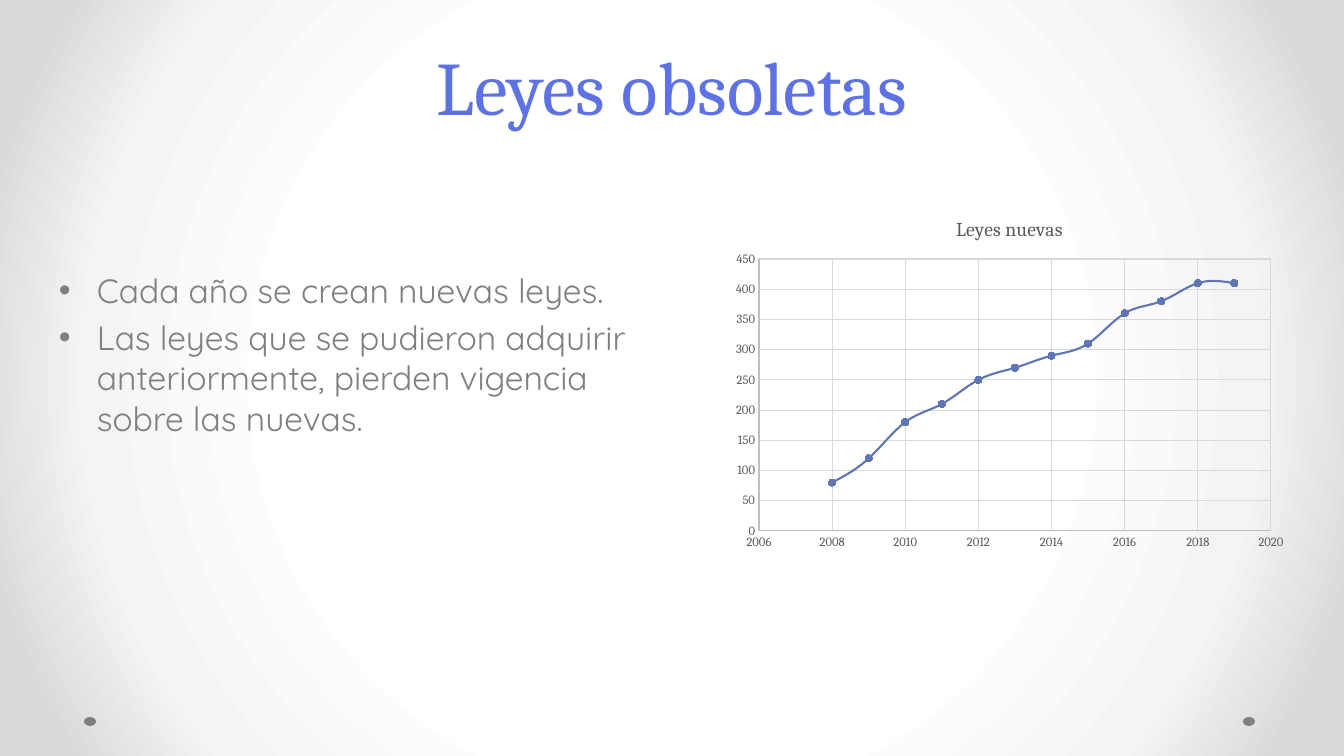
import pptx
import pptx.chart.data
import pptx.dml.color
import pptx.enum.chart
import pptx.enum.shapes
import pptx.enum.text
import pptx.oxml
import pptx.util

EMU_PER_PX = 914400 / 100.8
GREY, DARK_GREY, BLUE = "808080", "595959", "6076B4"
NS_A = 'xmlns:a="http://schemas.openxmlformats.org/drawingml/2006/main"'
NS_C = 'xmlns:c="http://schemas.openxmlformats.org/drawingml/2006/chart"'

BULLETS = [
    "Cada año se crean nuevas leyes.",
    "Las leyes que se pudieron adquirir anteriormente, pierden vigencia sobre las nuevas.",
]
FIRST_YEAR = 2008
NEW_LAWS = [80, 120, 180, 210, 250, 270, 290, 310, 360, 380, 410, 410]
CHART_BOX = (724, 200, 571, 357)
PLOT_BOX = (759, 259, 512, 272)


def px(n):
    return pptx.util.Emu(round(n * EMU_PER_PX))


def rgb(color):
    return pptx.dml.color.RGBColor.from_string(color)


def set_font(font, name, size, color):
    font.name = name
    font.size = pptx.util.Pt(size)
    font.color.rgb = rgb(color)


def set_line(line, color, width):
    line.color.rgb = rgb(color)
    line.width = pptx.util.Pt(width)


def set_background(s):
    """Fill the slide with a radial gradient, white at the centre."""
    fill = s.background.fill
    fill.gradient()
    stops = "".join(
        f'<a:gs pos="{pos}000"><a:srgbClr val="{color}"/></a:gs>'
        for pos, color in [(50, "FFFFFF"), (76, "F4F4F4"), (92, "DADADA")])
    gradient = pptx.oxml.parse_xml(
        f'<a:gradFill {NS_A} rotWithShape="1"><a:gsLst>{stops}</a:gsLst>'
        '<a:path path="circle"><a:fillToRect l="50000" t="50000" r="50000" b="50000"/>'
        '</a:path></a:gradFill>')
    bg_pr = s.background._cSld.bg.bgPr
    bg_pr.replace(bg_pr[0], gradient)


def add_dot(s, x, y):
    dot = s.shapes.add_shape(pptx.enum.shapes.MSO_SHAPE.OVAL, px(x), px(y), px(12), px(9))
    dot.shadow.inherit = False
    dot.fill.solid()
    dot.fill.fore_color.rgb = rgb(GREY)
    dot.line.fill.background()


def add_text_frame(s, x, y, w, h):
    tf = s.shapes.add_textbox(px(x), px(y), px(w), px(h)).text_frame
    tf.word_wrap = True
    return tf


def add_title(s, text):
    tf = add_text_frame(s, 67, 50, 1210, 86)
    tf.vertical_anchor = pptx.enum.text.MSO_ANCHOR.BOTTOM
    p = tf.paragraphs[0]
    p.text = text
    p.alignment = pptx.enum.text.PP_ALIGN.CENTER
    p.line_spacing = pptx.util.Pt(58)
    set_font(p.font, "Cambria", 54, "5E72E4")


def add_bullets(s, items):
    tf = add_text_frame(s, 49, 265, 594, 226)
    tf.text = "\n".join(items)
    for p in tf.paragraphs:
        p.space_before = pptx.util.Pt(4.8)
        set_font(p.font, "Quicksand", 24, GREY)
        p_pr = p._p.get_or_add_pPr()
        p_pr.set("marL", str(px(38)))
        p_pr.set("indent", str(-px(38)))
        bullet_font = pptx.oxml.parse_xml(f'<a:buFont {NS_A} typeface="Arial"/>')
        bullet = pptx.oxml.parse_xml(f'<a:buChar {NS_A} char="•"/>')
        p_pr.find(pptx.oxml.ns.qn("a:defRPr")).addprevious(bullet_font)
        bullet_font.addnext(bullet)


def style_axis(axis, low, high, step):
    axis.minimum_scale, axis.maximum_scale, axis.major_unit = low, high, step
    axis.major_tick_mark = axis.minor_tick_mark = pptx.enum.chart.XL_TICK_MARK.NONE
    axis.has_major_gridlines = True
    set_line(axis.major_gridlines.format.line, "D9D9D9", 0.75)
    set_line(axis.format.line, "BFBFBF", 0.75)
    set_font(axis.tick_labels.font, "Cambria", 9, DARK_GREY)
    axis.tick_labels.number_format = "General"
    axis.tick_labels.number_format_is_linked = False


def place_plot(chart):
    """Fix the inner plot area inside the chart frame."""
    left, top, width, height = CHART_BOX
    x, y, w, h = PLOT_BOX
    parts = {"x": (x - left) / width, "y": (y - top) / height,
             "w": w / width, "h": h / height}
    values = "".join(f'<c:{key}Mode val="edge"/>' for key in "xy")
    values += "".join(f'<c:{key} val="{part:.4f}"/>' for key, part in parts.items())
    layout = pptx.oxml.parse_xml(
        f'<c:layout {NS_C}><c:manualLayout><c:layoutTarget val="inner"/>'
        f'{values}</c:manualLayout></c:layout>')
    plot_area = chart._chartSpace.chart.plotArea
    for old in plot_area.findall(pptx.oxml.ns.qn("c:layout")):
        plot_area.remove(old)
    plot_area.insert(0, layout)


def smooth_series(series):
    """Turn on curve smoothing, which scatter series offer only in XML."""
    ser = series._element
    for old in ser.findall(pptx.oxml.ns.qn("c:smooth")):
        ser.remove(old)
    ser.find(pptx.oxml.ns.qn("c:yVal")).addnext(
        pptx.oxml.parse_xml(f'<c:smooth {NS_C} val="1"/>'))


def add_laws_chart(s):
    data = pptx.chart.data.XyChartData()
    laws = data.add_series("Leyes nuevas")
    for year, count in enumerate(NEW_LAWS, FIRST_YEAR):
        laws.add_data_point(year, count)
    chart = s.shapes.add_chart(
        pptx.enum.chart.XL_CHART_TYPE.XY_SCATTER_SMOOTH,
        *map(px, CHART_BOX), data).chart
    set_font(chart.font, "Cambria", 10, "000000")
    chart.has_legend = False
    chart.has_title = True
    p = chart.chart_title.text_frame.paragraphs[0]
    p.text = "Leyes nuevas"
    set_font(p.font, "Cambria", 14, DARK_GREY)
    p.font.bold = False
    style_axis(chart.category_axis, 2006, 2020, 2)
    style_axis(chart.value_axis, 0, 450, 50)
    place_plot(chart)

    chart.plots[0].vary_by_categories = False
    series = chart.plots[0].series[0]
    smooth_series(series)
    set_line(series.format.line, BLUE, 1.5)
    marker = series.marker
    marker.style = pptx.enum.chart.XL_MARKER_STYLE.CIRCLE
    marker.size = 5
    marker.format.fill.solid()
    marker.format.fill.fore_color.rgb = rgb(BLUE)
    set_line(marker.format.line, BLUE, 0.75)


def main():
    prs = pptx.Presentation()
    prs.slide_width, prs.slide_height = px(1344), px(756)
    s = prs.slides.add_slide(prs.slide_layouts[6])
    set_background(s)
    for x in (1243, 84):
        add_dot(s, x, 717)
    add_title(s, "Leyes obsoletas")
    add_bullets(s, BULLETS)
    add_laws_chart(s)
    prs.save("out.pptx")


if __name__ == "__main__":
    main()
